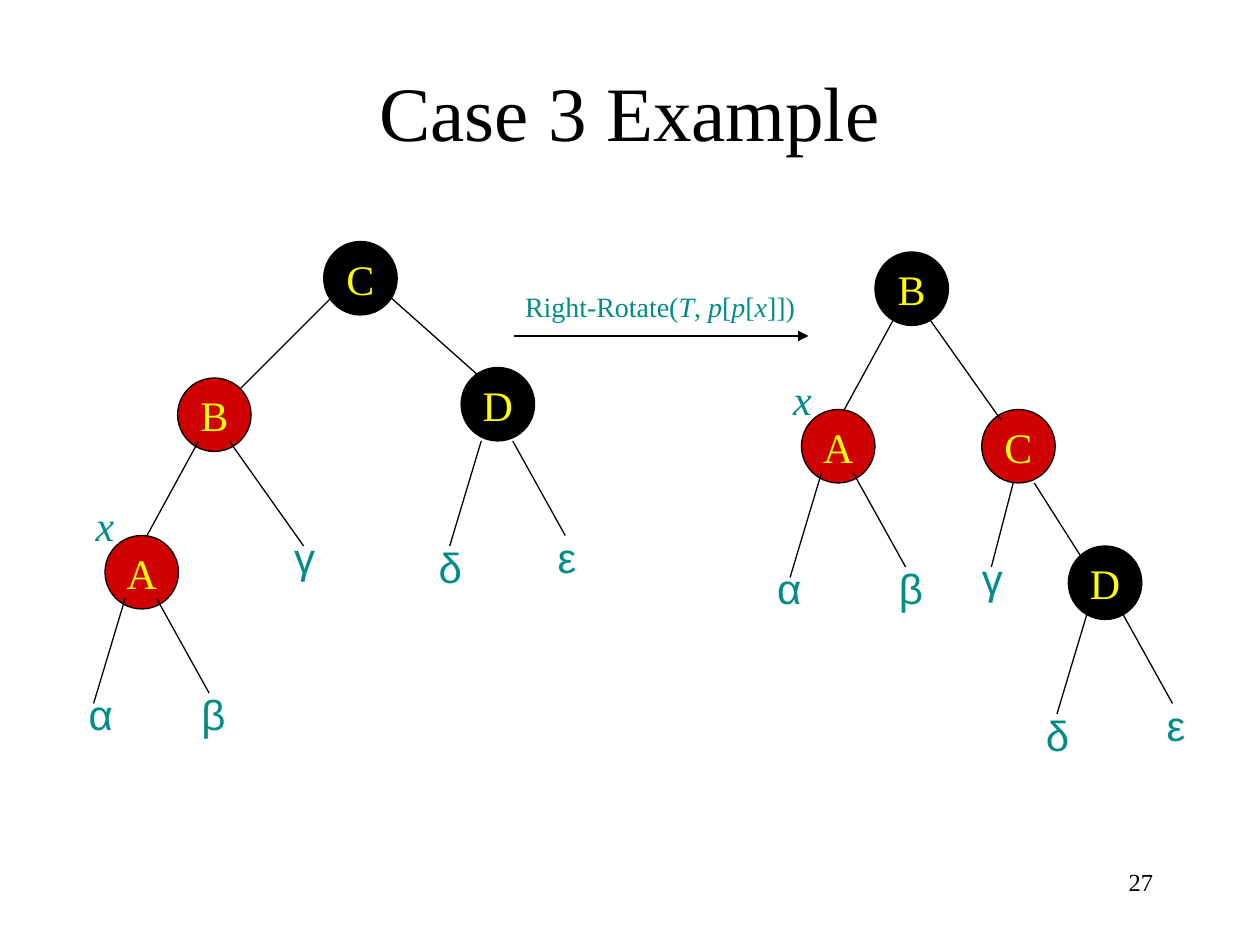
from lxml.etree import SubElement
from pptx import Presentation
from pptx.dml.color import RGBColor
from pptx.enum.shapes import MSO_CONNECTOR, MSO_SHAPE
from pptx.enum.text import MSO_ANCHOR as ANCHOR, PP_ALIGN as ALIGN
from pptx.oxml.ns import qn
from pptx.util import Pt

BLACK = RGBColor(0x00, 0x00, 0x00)
RED = RGBColor(0xCE, 0x00, 0x00)
YELLOW = RGBColor(0xFF, 0xFF, 0x00)
TEAL = RGBColor(0x00, 0x8C, 0x87)
SERIF, SANS = "Times New Roman", "Arial"
NODE_SIZE, LABEL_WIDTH, LABEL_HEIGHT = 42, 27, 36

# Edges of a node: (start x from node left, start y from node top, run, drop)
LEAF_FORK = [(11.5, 36, -18, 60), (29.5, 36, 30, 54)]
LOW_LEAF_FORK = [(x, NODE_SIZE, run, drop) for x, _, run, drop in LEAF_FORK]
B_FORK = [(12, 36, -29.5, 54), (29.5, 36, 42.5, 60)]

# Nodes: (key, fill, left, top, edges); labels: (text, centre x, top)
TREES = [
    {
        "nodes": [
            ("A", RED, 60, 306, LEAF_FORK),
            ("C", BLACK, 185, 138, [(6.5, 30, -54, 54), (36, 30, 54, 48)]),
            ("B", RED, 101.5, 216, B_FORK),
            ("D", BLACK, 263.5, 210, LOW_LEAF_FORK),
        ],
        "labels": [("α", 57, 390), ("β", 121.5, 390), ("x", 60, 282),
                   ("γ", 174, 300), ("δ", 257, 306), ("ε", 324, 300)],
    },
    {
        "nodes": [
            ("A", RED, 458, 234, LEAF_FORK),
            ("C", RED, 561, 234, [(18, 42, -12.5, 48), (30, 42, 30.5, 48)]),
            ("B", BLACK, 500, 144, B_FORK),
            ("D", BLACK, 610.5, 312, LEAF_FORK),
        ],
        "labels": [("α", 450.5, 318), ("β", 520, 318), ("x", 458.5, 210),
                   ("γ", 567, 312), ("δ", 604, 402), ("ε", 672, 396)],
    },
]
# Runs of the operation: (text, italic)
OPERATION = [("Right-Rotate(", False), ("T", True), (", ", False), ("p", True),
             ("[", False), ("p", True), ("[", False), ("x", True), ("]])", False)]


def write(shape, runs, size, color, font=SERIF, align=ALIGN.CENTER,
          anchor=ANCHOR.TOP, wrap=False):
    frame = shape.text_frame
    frame.word_wrap = wrap
    frame.vertical_anchor = anchor
    paragraph = frame.paragraphs[0]
    paragraph.alignment = align
    for text, italic in runs:
        run = paragraph.add_run()
        run.text = text
        run.font.color.rgb = color
        for name, value in {"name": font, "size": Pt(size), "italic": italic}.items():
            setattr(run.font, name, value)


def add_text(slide, box, runs, size, color, **style):
    write(slide.shapes.add_textbox(*map(Pt, box)), runs, size, color, **style)


def add_node(slide, key, fill, left, top):
    shape = slide.shapes.add_shape(
        MSO_SHAPE.OVAL, Pt(left), Pt(top), Pt(NODE_SIZE), Pt(NODE_SIZE))
    shape.shadow.inherit = False
    shape.fill.solid()
    shape.fill.fore_color.rgb = fill
    shape.line.color.rgb = BLACK
    shape.line.width = Pt(0.75)
    write(shape, [(key, False)], 24, YELLOW, anchor=ANCHOR.MIDDLE)


def add_line(slide, x, y, run, drop, arrow=False):
    line = slide.shapes.add_connector(
        MSO_CONNECTOR.STRAIGHT, Pt(x), Pt(y), Pt(x + run), Pt(y + drop))
    line.line.color.rgb = BLACK
    line.line.width = Pt(0.75)
    if arrow:
        SubElement(line.line._get_or_add_ln(), qn("a:tailEnd"), type="triangle")
    SubElement(line._element.spPr, qn("a:effectLst"))


def add_tree(slide, tree):
    for key, fill, left, top, _ in tree["nodes"]:
        add_node(slide, key, fill, left, top)
    for _, _, left, top, edges in tree["nodes"]:
        for x, y, run, drop in edges:
            add_line(slide, left + x, top + y, run, drop)
    for text, center, top in tree["labels"]:
        is_pointer = text == "x"
        box = (center - LABEL_WIDTH / 2, top, LABEL_WIDTH, LABEL_HEIGHT)
        add_text(slide, box, [(text, is_pointer)], 24, TEAL,
                 font=SERIF if is_pointer else SANS)


def main():
    presentation = Presentation()
    presentation.slide_width, presentation.slide_height = Pt(720), Pt(540)
    slide = presentation.slides.add_slide(presentation.slide_layouts[6])
    add_text(slide, (54, 18, 612, 90), [("Case 3 Example", False)], 44, BLACK,
             anchor=ANCHOR.MIDDLE, wrap=True)
    for tree in TREES:
        add_tree(slide, tree)
    add_text(slide, (293, 162, 168.5, 26.5), OPERATION, 16, TEAL, align=ALIGN.LEFT)
    add_line(slide, 294, 192, 168, 0, arrow=True)
    add_text(slide, (516, 492, 150, 36), [("27", False)], 14, BLACK,
             align=ALIGN.RIGHT, wrap=True)
    presentation.save("out.pptx")


if __name__ == "__main__":
    main()
